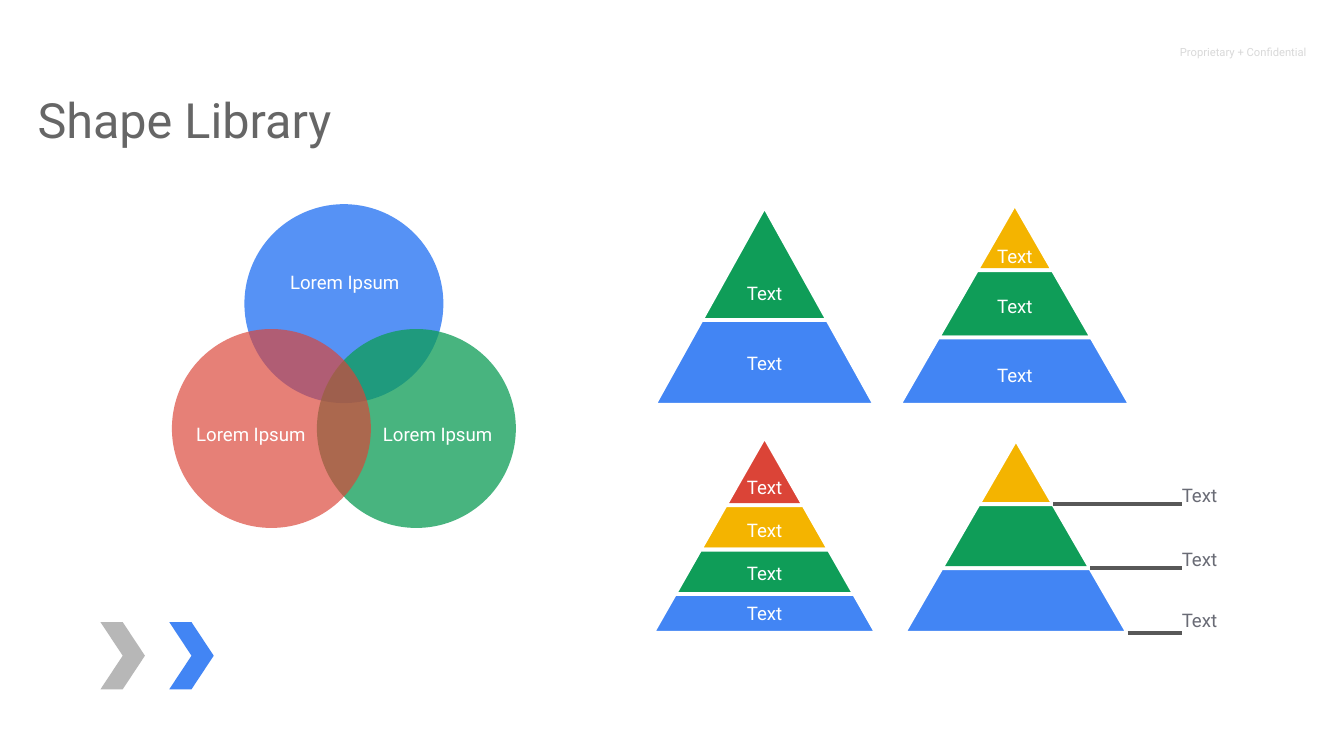
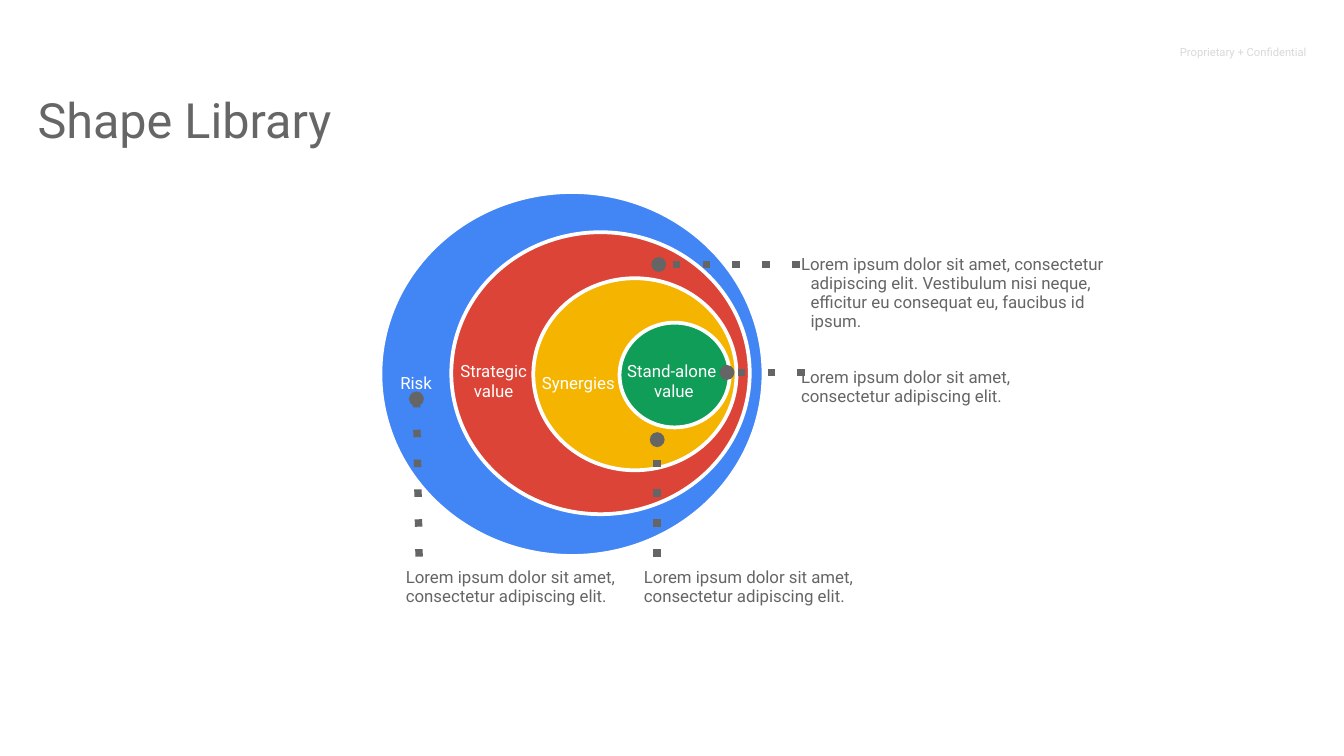
from lxml import etree
from pptx import Presentation
from pptx.dml.color import RGBColor
from pptx.enum import shapes as kinds, text as txt
from pptx.oxml.ns import qn
from pptx.util import Cm, Pt

FONT = "Roboto"
HUES = {
    "blue": "4285F4", "red": "DB4437", "gold": "F4B400", "green": "0F9D58",
    "white": "FFFFFF", "silver": "B7B7B7", "pale": "D9D9D9", "title": "666666",
    "note": "656565", "side": "696B75", "rule": "585858",
}
SHAPE = kinds.MSO_SHAPE
LEFT, CENTER = txt.PP_ALIGN.LEFT, txt.PP_ALIGN.CENTER
TOP, MIDDLE = txt.MSO_ANCHOR.TOP, txt.MSO_ANCHOR.MIDDLE
LOREM = "Lorem ipsum dolor sit amet, consectetur adipiscing elit."
LONG = LOREM + " Vestibulum nisi neque, efficitur eu consequat eu, faucibus id ipsum."


def rgb(hue):
    return RGBColor.from_string(HUES[hue])


def write(frame, words, size, hue, align=LEFT, anchor=TOP, inset=0.0, space=None, hang=False):
    frame.word_wrap = True
    frame.auto_size = txt.MSO_AUTO_SIZE.NONE
    frame.vertical_anchor = anchor
    frame.margin_left = frame.margin_right = Cm(inset)
    frame.margin_top = frame.margin_bottom = Cm(inset)
    frame.text = words
    para = frame.paragraphs[0]
    para.alignment = align
    if space:
        para.line_spacing = space
    if hang:
        props = para._p.get_or_add_pPr()
        props.set("marL", str(Cm(0.18)))
        props.set("indent", str(-Cm(0.18)))
    para.font.name = FONT
    para.font.size = Pt(size)
    para.font.color.rgb = rgb(hue)


def box(pool, spot, words, size, hue, **style):
    """Add a text box at spot (left, top, width, height in cm)."""
    item = pool.add_textbox(*map(Cm, spot))
    write(item.text_frame, words, size, hue, **style)


def label(pool, spot, words, size=10, hue="white", space=None):
    box(pool, spot, words, size, hue, align=CENTER, anchor=MIDDLE, space=space)


def note(pool, spot, words, hang=False):
    box(pool, spot, words, 9, "note", inset=0.1, space=0.95, hang=hang)


def paint(item, hue, edge=False, alpha=None):
    item.shadow.inherit = False
    item.fill.solid()
    item.fill.fore_color.rgb = rgb(hue)
    if alpha:
        color = item._element.spPr.find(".//" + qn("a:srgbClr"))
        etree.SubElement(color, qn("a:alpha"), val=str(alpha * 1000))
    if edge:
        item.line.color.rgb = rgb("white")
        item.line.width = Pt(2)
    else:
        item.line.fill.background()


def shape(pool, kind, spot, hue, **style):
    item = pool.add_shape(kind, *map(Cm, spot))
    paint(item, hue, **style)


def line(pool, start, end, hue, width, dots=False):
    """Draw a rule; a dotted one ends in a round knob."""
    item = pool.add_connector(kinds.MSO_CONNECTOR.STRAIGHT, *map(Cm, start + end))
    item.line.color.rgb = rgb(hue)
    item.line.width = Pt(width)
    if dots:
        stroke = item.line._get_or_add_ln()
        etree.SubElement(stroke, qn("a:prstDash"), val="dot")
        etree.SubElement(stroke, qn("a:tailEnd"), type="oval", w="sm", len="sm")
    etree.SubElement(item._element.spPr, qn("a:effectLst"))


def pyramid(pool, mid, half, cuts, hues):
    """Stack bands between the cuts; return the lower right corner of each."""
    def reach(y):
        return half * (y - cuts[0]) / (cuts[-1] - cuts[0])

    for top, low, hue in zip(cuts, cuts[1:], hues):
        corners = [(mid - reach(top), top), (mid + reach(top), top),
                   (mid + reach(low), low), (mid - reach(low), low)]
        points = [(Cm(x), Cm(y)) for x, y in dict.fromkeys(corners)]
        pen = pool.build_freeform(*points[0])
        pen.add_line_segments(points[1:])
        paint(pen.convert_to_shape(), hue, edge=True)
    return [(mid + reach(y), y) for y in cuts[1:]]


def start(deck):
    """Add a slide with its title and confidentiality mark."""
    slide = deck.slides.add_slide(deck.slide_layouts[5])
    title = slide.shapes.title
    title.left, title.top, title.width, title.height = map(Cm, (0.46, 1.45, 18.36, 2.11))
    write(title.text_frame, "Shape Library", 26, "title", inset=0.25, hang=True)
    box(slide.shapes, (22.05, 0.61, 3.35, 0.76), "Proprietary + Confidential", 6, "pale",
        inset=0.25)
    return slide.shapes


def venn(pool):
    rings = [  # circle left and top, hue, opacity, label left, top and width
        (4.62, 3.86, "blue", 89, (5.13, 5.16, 2.77)),
        (5.99, 6.22, "green", 76, (7.14, 8.03, 2.26)),
        (3.25, 6.22, "red", 68, (3.61, 8.03, 2.26)),
    ]
    group = pool.add_group_shape().shapes
    for x, y, hue, alpha, spot in rings:
        shape(group, SHAPE.OVAL, (x, y, 3.76, 3.76), hue, alpha=alpha)
        label(group, spot + (0.41,), "Lorem Ipsum", space=0.9)


def stacks(pool):
    hues = ["red", "gold", "green", "blue"]
    plans = [  # middle, half base, cuts, label (top, width) pairs
        (14.45, 2.08, [3.91, 6.05, 7.65], [(5.36, 1.12), (6.68, 2.54)]),
        (19.18, 2.18, [3.86, 5.11, 6.38, 7.65], [(4.65, 1.12), (5.61, 1.85), (6.91, 3.38)]),
        (14.45, 2.11, [8.26, 9.55, 10.39, 11.23, 11.96],
         [(9.02, 0.84), (9.83, 1.83), (10.64, 2.74), (11.4, 3.56)]),
    ]
    for mid, half, cuts, tags in plans:
        pyramid(pool, mid, half, cuts, hues[-len(tags):])
        for top, width in tags:
            label(pool, (mid - width / 2, top, width, 0.41), "Text", space=0.95)

    ends = pyramid(pool, 19.2, 2.11, [8.31, 9.53, 10.74, 11.96], hues[1:])
    for corner, top in zip(ends, (9.17, 10.39, 11.53)):
        label(pool, (22.25, top, 0.84, 0.41), "Text", hue="side", space=0.95)
        line(pool, corner, (22.33, corner[1]), "rule", 2)


def nest(pool):
    rings = [
        ((7.19, 3.63, 7.24, 6.88), "blue"),
        ((8.53, 4.39, 5.64, 5.33), "red"),
        ((10.08, 5.26, 3.84, 3.63), "gold"),
        ((11.71, 6.1, 2.08, 1.98), "green"),
    ]
    for spot, hue in rings:
        shape(pool, SHAPE.OVAL, spot, hue, edge=True)
    names = [
        ((7.19, 7.04, 1.35, 0.38), "Risk"),
        ((8.53, 6.83, 1.6, 0.74), "Strategic value"),
        ((10.13, 7.04, 1.6, 0.38), "Synergies"),
        ((11.73, 6.83, 2.01, 0.74), "Stand-alone \vvalue"),
    ]
    for spot, words in names:
        label(pool, spot, words, size=9)


def notes(pool):
    note(pool, (7.57, 10.64, 4.52, 0.94), LOREM)
    note(pool, (12.07, 10.64, 5.11, 0.94), LOREM)
    note(pool, (15.04, 4.72, 5.94, 1.65), LONG, hang=True)
    note(pool, (15.04, 6.86, 4.8, 0.94), LOREM)
    leads = [
        ((12.42, 10.52), (12.42, 8.31)),
        ((15.21, 7.04), (13.74, 7.04)),
        ((15.11, 5.0), (12.45, 5.0)),
        ((7.92, 10.52), (7.87, 7.54)),
    ]
    for begin, end in leads:
        line(pool, begin, end, "note", 4, dots=True)


def main():
    deck = Presentation()
    deck.slide_width, deck.slide_height = Cm(25.4), Cm(14.29)

    pool = start(deck)
    stacks(pool)
    venn(pool)
    for x, hue in ((1.9, "silver"), (3.2, "blue")):
        shape(pool, SHAPE.CHEVRON, (x, 11.76, 0.84, 1.27), hue)

    pool = start(deck)
    nest(pool)
    notes(pool)

    deck.save("out.pptx")


if __name__ == "__main__":
    main()
